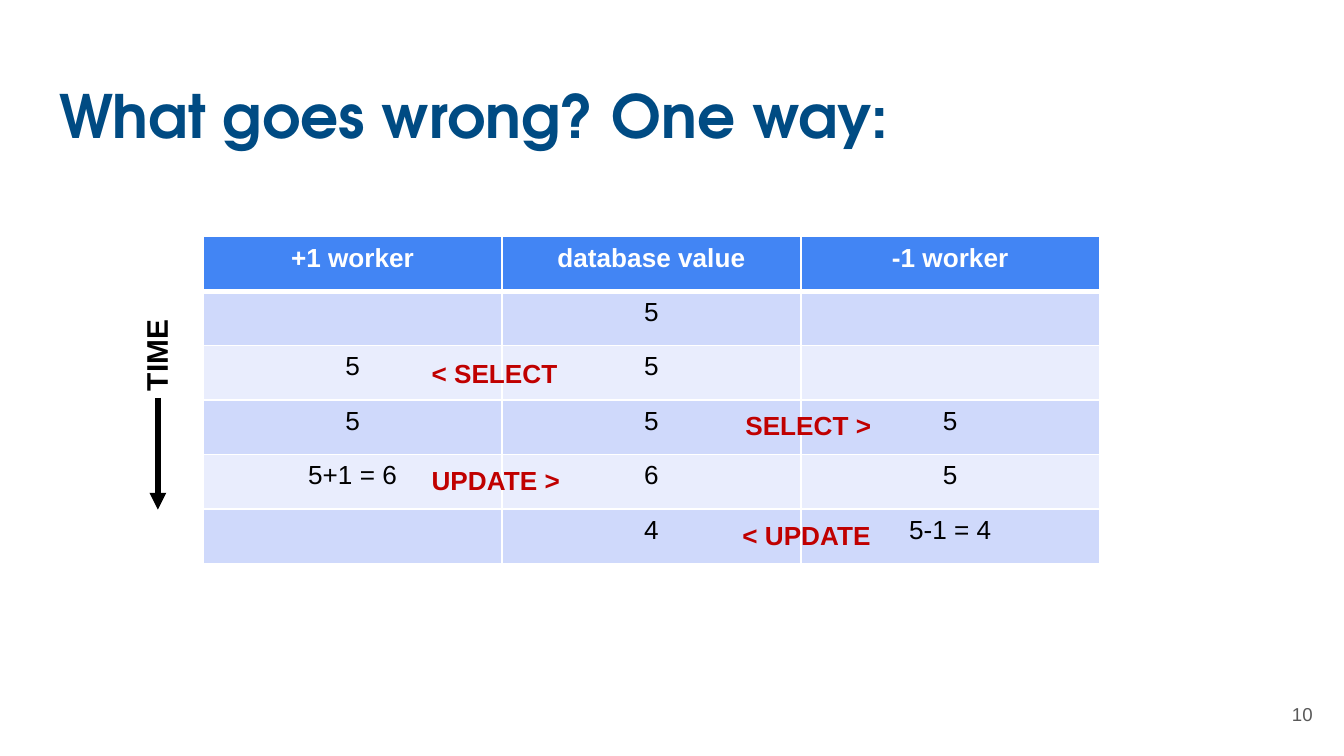
"""Build a slide showing how two concurrent workers corrupt a database value."""
from lxml.etree import SubElement
from pptx import Presentation
from pptx.dml.color import RGBColor
from pptx.enum.shapes import MSO_CONNECTOR
from pptx.enum.text import MSO_ANCHOR, MSO_AUTO_SIZE, PP_ALIGN
from pptx.oxml.ns import qn
from pptx.util import Inches, Pt

prs = Presentation()
prs.slide_width = Inches(10)
prs.slide_height = prs.slide_width * 9 // 16
W, H = prs.slide_width / 100, prs.slide_height / 100
s = prs.slides.add_slide(prs.slide_layouts[6])


def rgb(code):
    return RGBColor.from_string(code)


def write(tf, text, color, align=PP_ALIGN.LEFT, **fmt):
    p = tf.paragraphs[0]
    p.alignment = align
    r = p.add_run()
    r.text = text
    r.font.color.rgb = rgb(color)
    for key, value in ({"name": "Arial", "size": Pt(14), "bold": True} | fmt).items():
        setattr(r.font, key, value)


frames = [
    ("What goes wrong? One way:", (3.41, 8.65, 93.2, 11.2), "004B83", PP_ALIGN.LEFT,
     MSO_ANCHOR.TOP, {"name": "TeX Gyre Adventor", "size": Pt(32)}),
    ("10", (92.65, 90.66, 6, 7.65), "595959", PP_ALIGN.RIGHT,
     MSO_ANCHOR.MIDDLE, {"size": Pt(10), "bold": False}),
]
for text, (x, y, w, h), color, align, anchor, fmt in frames:
    tf = s.shapes.add_textbox(int(x * W), int(y * H), int(w * W), int(h * H)).text_frame
    box = {"word_wrap": True, "vertical_anchor": anchor} | dict.fromkeys(
        ("margin_left", "margin_top", "margin_right", "margin_bottom"), Inches(0.1))
    for key, value in box.items():
        setattr(tf, key, value)
    write(tf, text, color, align, **fmt)

rows = [
    ("+1 worker", "database value", "-1 worker"),
    ("", "5", ""),
    ("5", "5", ""),
    ("5", "5", "5"),
    ("5+1 = 6", "6", "5"),
    ("", "4", "5-1 = 4"),
]
left, top = int(15.12 * W), int(31.3 * H)
col, row = int(66.7 * W / 3), int(43.25 * H / len(rows))
tbl = s.shapes.add_table(len(rows), 3, left, top, col * 3, row * len(rows)).table
for i, values in enumerate(rows):
    for j, value in enumerate(values):
        cell = tbl.cell(i, j)
        if value:
            write(cell.text_frame, value, "000000" if i else "FFFFFF", PP_ALIGN.CENTER, bold=i == 0)
        tcPr = cell._tc.get_or_add_tcPr()
        for side in "LRTB":
            thick = (i, side) in ((0, "B"), (1, "T"))
            ln = SubElement(tcPr, qn(f"a:ln{side}"), w=str(Pt(3 if thick else 1)))
            SubElement(SubElement(ln, qn("a:solidFill")), qn("a:srgbClr"), val="FFFFFF")
        cell.fill.solid()
        cell.fill.fore_color.rgb = rgb(("E9EDFD", "CFD9FB")[i % 2] if i else "4285F4")

labels = [
    ("< SELECT", 0.72, 2.5, 0.51, "C00000", 14, 0),
    ("SELECT >", 1.77, 3.46, 0.52, "C00000", 14, 0),
    ("UPDATE >", 0.72, 4.46, 0.53, "C00000", 14, 0),
    ("< UPDATE", 1.76, 5.48, 0.53, "C00000", 14, 0),
    ("TIME", -0.32, 2.17, 0.33, "000000", 16, 270),
]
for text, x, middle, width, color, size, turn in labels:
    height = Pt(size * 1.7)
    sp = s.shapes.add_textbox(left + int(x * col), top + int(middle * row) - height // 2,
                              int(width * col), height)
    sp.rotation = turn
    tf = sp.text_frame
    tf.word_wrap, tf.auto_size = False, MSO_AUTO_SIZE.SHAPE_TO_FIT_TEXT
    write(tf, text, color, size=Pt(size))

x = int(11.75 * W)
cx = s.shapes.add_connector(MSO_CONNECTOR.STRAIGHT, x, top + int(2.96 * row), x, top + int(5.01 * row))
cx.line.color.rgb = rgb("000000")
cx.line.width = Pt(3)
SubElement(cx.line._get_or_add_ln(), qn("a:tailEnd"), type="triangle")
SubElement(cx._element.spPr, qn("a:effectLst"))

prs.save("out.pptx")
